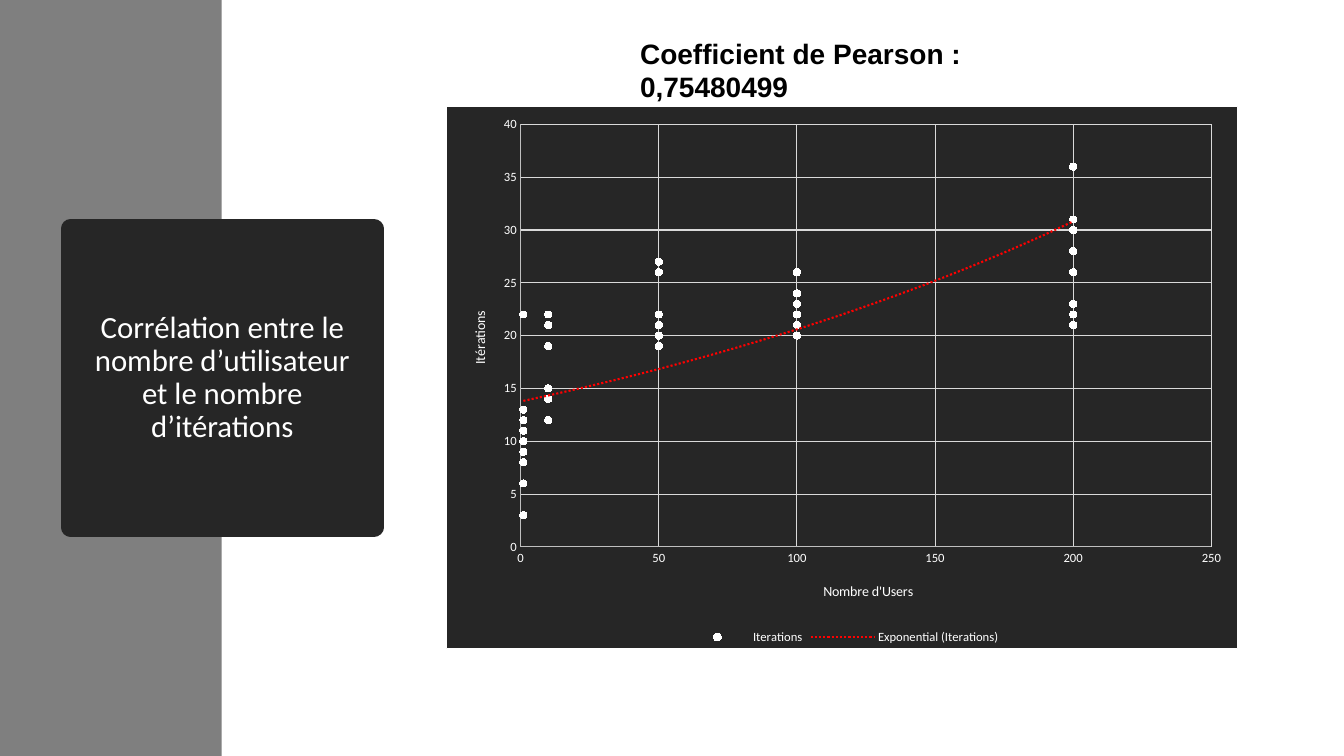
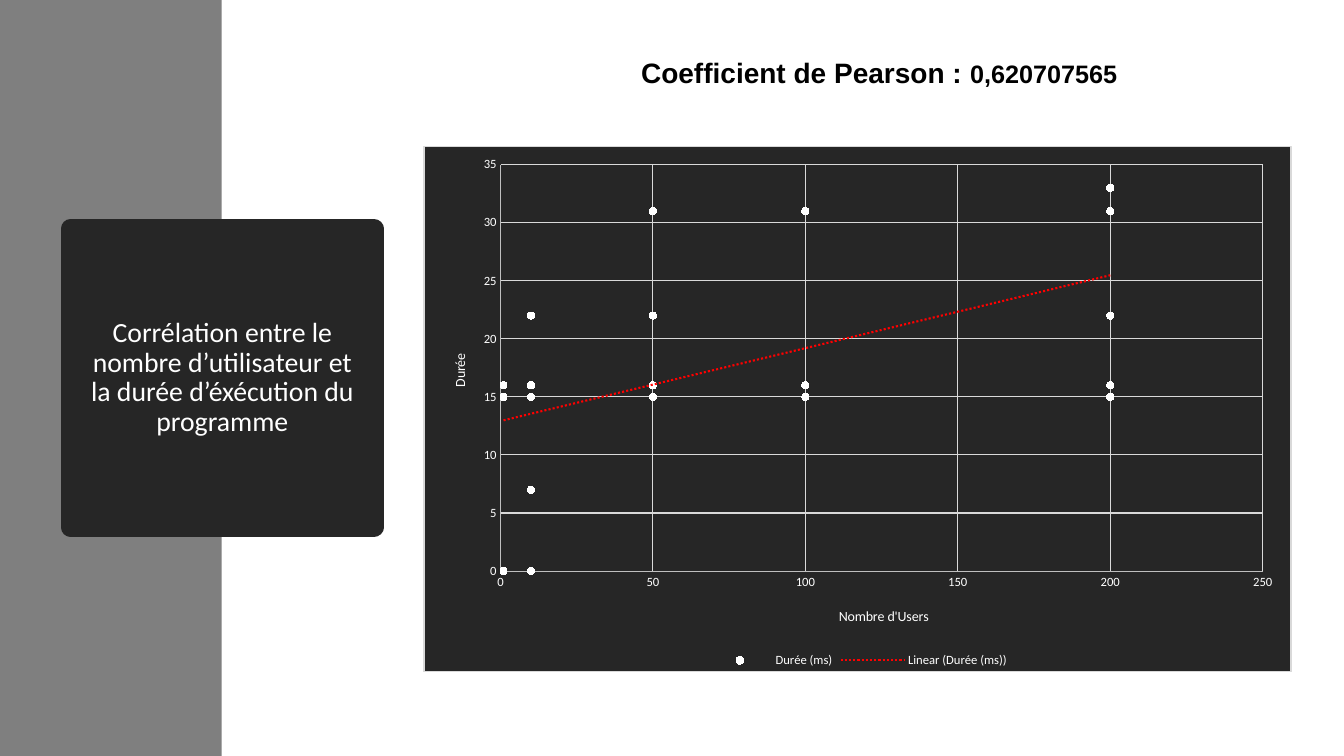
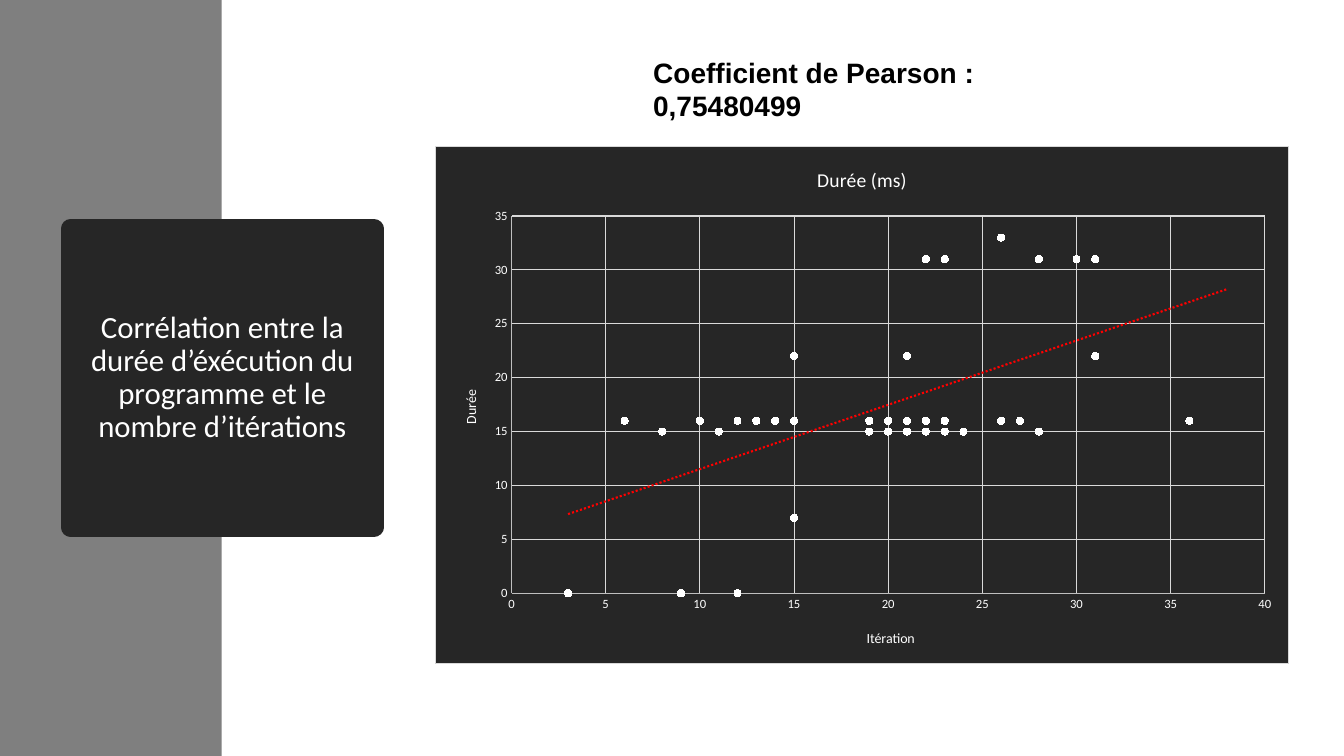
from dataclasses import dataclass
from typing import Any

from lxml import etree
from pptx import Presentation
from pptx import util as u
from pptx.chart import data as chartdata
from pptx.dml import color
from pptx.enum import chart as charts, shapes, text
from pptx.oxml import ns, parse_xml

GREY, DARK, WHITE, BLACK = "7F7F7F", "262626", "FFFFFF", "000000"
GRID, AXIS, RED = "D9D9D9", "BFBFBF", "FF0000"
SANS, HEADING = "Calibri", "Arial"
LABEL = "Coefficient de Pearson : "

USERS = [1] * 10 + [count for count in (10, 50, 100, 200) for _ in range(11)]
ITERATIONS = [
    8, 22, 11, 13, 6, 12, 3, 8, 9, 10,
    15, 12, 15, 19, 21, 15, 14, 21, 12, 22, 22,
    22, 22, 26, 21, 21, 19, 19, 22, 20, 27, 22,
    23, 21, 21, 23, 24, 26, 20, 23, 22, 21, 23,
    28, 36, 31, 31, 22, 23, 21, 31, 26, 30, 28,
]
DURATIONS = [
    15, 15, 15, 16, 16, 16, 0, 15, 0, 16,
    16, 0, 7, 16, 16, 22, 16, 16, 16, 15, 15,
    15, 16, 16, 22, 15, 16, 15, 16, 15, 16, 31,
    31, 15, 16, 16, 15, 16, 16, 16, 15, 16, 15,
    15, 16, 31, 22, 31, 31, 16, 31, 33, 31, 31,
]


@dataclass(frozen=True)
class Area:
    left: float
    top: float
    width: float
    height: float

    def lengths(self) -> list[u.Length]:
        return [u.Inches(side) for side in (self.left, self.top, self.width, self.height)]


@dataclass(frozen=True)
class AxisSpec:
    title: str
    title_length: float
    values: list[int]
    maximum: int
    step: int


@dataclass(frozen=True)
class Correlation:
    title: str
    title_size: float
    coefficient: str
    coefficient_size: int
    coefficient_area: Area
    chart_area: Area
    plot_area: Area
    border: str
    series: str
    across: AxisSpec
    upward: AxisSpec
    trend: str = "linear"
    forward: int = 0
    legend: bool = True


BAND = Area(0, 0, 2.2, 7.5)
TITLE = Area(0.7, 2.27, 3.01, 2.96)
USER_AXIS = AxisSpec("Nombre d'Users", 0.9, USERS, 250, 50)
DURATION_AXIS = AxisSpec("Durée", 0.34, DURATIONS, 35, 5)

CORRELATIONS = [
    Correlation(
        "Corrélation entre le nombre d’utilisateur et le nombre d’itérations", 22,
        "0,75480499", 20, Area(6.25, 0.31, 4.93, 0.44),
        Area(4.42, 1.05, 7.86, 5.39), Area(5.16, 1.23, 6.86, 4.2),
        WHITE, "Iterations", USER_AXIS,
        AxisSpec("Itérations", 0.54, ITERATIONS, 40, 5), trend="exp",
    ),
    Correlation(
        "Corrélation entre le nombre d’utilisateur et la durée d’éxécution du programme", 19.8,
        "0,620707565", 18, Area(6.26, 0.5, 4.93, 0.44),
        Area(4.2, 1.45, 8.61, 5.22), Area(4.96, 1.63, 7.57, 4.04),
        GRID, "Durée (ms)", USER_AXIS, DURATION_AXIS,
    ),
    Correlation(
        "Corrélation entre la durée d’éxécution du programme et le nombre d’itérations", 22,
        "0,75480499", 20, Area(6.38, 0.5, 4.93, 0.44),
        Area(4.31, 1.45, 8.48, 5.14), Area(5.07, 2.14, 7.48, 3.75),
        GRID, "Durée (ms)", AxisSpec("Itération", 0.48, ITERATIONS, 40, 5),
        DURATION_AXIS, forward=2, legend=False,
    ),
]


def colour(value: str) -> color.RGBColor:
    return color.RGBColor.from_string(value)


def fill(target: Any, value: str) -> None:
    target.fill.solid()
    target.fill.fore_color.rgb = colour(value)


def style_line(line: Any, value: str, width: float) -> None:
    fill(line, value)
    line.width = u.Pt(width)


def style_font(font: Any, size: float, value: str = WHITE, name: str = SANS, bold: bool = False) -> None:
    font.name, font.size, font.bold = name, u.Pt(size), bold
    font.color.rgb = colour(value)


def xml(tag: str, content: str) -> Any:
    return parse_xml(f"<c:{tag} {ns.nsdecls('c', 'a')}>{content}</c:{tag}>")


def outline_xml(value: str, width: float, dash: str = "solid") -> str:
    return (
        f'<a:ln w="{u.Pt(width)}"><a:solidFill><a:srgbClr val="{value}"/></a:solidFill>'
        f'<a:prstDash val="{dash}"/></a:ln>'
    )


def place(parent: Any, values: dict[str, float], inner: bool = False) -> None:
    for old in parent.findall(ns.qn("c:layout")):
        parent.remove(old)
    target = '<c:layoutTarget val="inner"/>' if inner else ""
    modes = '<c:xMode val="edge"/><c:yMode val="edge"/>'
    sides = "".join(f'<c:{side} val="{value:.4f}"/>' for side, value in values.items())
    layout = xml("layout", f"<c:manualLayout>{target}{modes}{sides}</c:manualLayout>")
    words = parent.find(ns.qn("c:tx"))
    if words is None:
        parent.insert(0, layout)
    else:
        words.addnext(layout)


def write_chart_title(frame: Any, words: str, size: float) -> None:
    frame.text = words
    style_font(frame.paragraphs[0].font, size)


def style_axis(axis: Any, details: AxisSpec, position: dict[str, float]) -> None:
    axis.minimum_scale, axis.maximum_scale = 0, details.maximum
    axis.major_unit = details.step
    axis.major_tick_mark = axis.minor_tick_mark = charts.XL_TICK_MARK.NONE
    axis.has_major_gridlines = True
    style_line(axis.major_gridlines.format.line, GRID, 0.75)
    style_line(axis.format.line, AXIS, 0.75)
    style_font(axis.tick_labels.font, 9)
    axis.has_title = True
    write_chart_title(axis.axis_title.text_frame, details.title, 10)
    place(axis.axis_title.element, position)


def add_trend(series: Any, kind: str, forward: int) -> None:
    extension = f'<c:forward val="{forward}"/>' if forward else ""
    trend = xml(
        "trendline",
        f'<c:spPr>{outline_xml(RED, 1.5, "sysDot")}</c:spPr><c:trendlineType val="{kind}"/>'
        f'{extension}<c:dispRSqr val="0"/><c:dispEq val="0"/>',
    )
    series._element.find(ns.qn("c:xVal")).addprevious(trend)


def add_scatter(page: Any, item: Correlation) -> None:
    values = chartdata.XyChartData()
    points = values.add_series(item.series)
    for x, y in zip(item.across.values, item.upward.values):
        points.add_data_point(x, y)
    outer, inner = item.chart_area, item.plot_area
    chart = page.shapes.add_chart(charts.XL_CHART_TYPE.XY_SCATTER, *outer.lengths(), values).chart
    style_font(chart.font, 10)
    chart.has_title = not item.legend
    if chart.has_title:
        write_chart_title(chart.chart_title.text_frame, item.series, 14)
    chart.has_legend = item.legend
    if item.legend:
        chart.legend.position = charts.XL_LEGEND_POSITION.BOTTOM
        chart.legend.include_in_layout = False
        style_font(chart.legend.font, 9)

    def fraction(left: float, top: float) -> dict[str, float]:
        return {"x": (left - outer.left) / outer.width, "y": (top - outer.top) / outer.height}

    middle = inner.left + inner.width / 2 - item.across.title_length / 2
    centre = inner.top + inner.height / 2 - item.upward.title_length / 2
    style_axis(chart.category_axis, item.across, fraction(middle, inner.top + inner.height + 0.33))
    style_axis(chart.value_axis, item.upward, fraction(inner.left - 0.52, centre))
    size = {"w": inner.width / outer.width, "h": inner.height / outer.height}
    body = chart.element.find(ns.qn("c:chart"))
    place(body.find(ns.qn("c:plotArea")), fraction(inner.left, inner.top) | size, inner=True)
    background = f'<a:solidFill><a:srgbClr val="{DARK}"/></a:solidFill>'
    body.addnext(xml("spPr", background + outline_xml(item.border, 0.75)))

    plot = chart.plots[0]
    plot.vary_by_categories = False
    series = plot.series[0]
    series.smooth = False
    series.format.line.fill.background()
    series.marker.style = charts.XL_MARKER_STYLE.CIRCLE
    series.marker.size = 5
    fill(series.marker.format, WHITE)
    style_line(series.marker.format.line, WHITE, 0.75)
    add_trend(series, item.trend, item.forward)


def add_title(page: Any, item: Correlation) -> None:
    title = page.shapes.title
    title.left, title.top, title.width, title.height = TITLE.lengths()
    fill(title, DARK)
    style_line(title.line, DARK, 13.75)
    etree.SubElement(title.element.spPr.find(ns.qn("a:ln")), ns.qn("a:round"))
    frame = title.text_frame
    frame.text = item.title
    frame.word_wrap = True
    frame.auto_size = text.MSO_AUTO_SIZE.NONE
    frame.vertical_anchor = text.MSO_ANCHOR.MIDDLE
    frame.margin_left = frame.margin_right = u.Inches(0.14)
    para = frame.paragraphs[0]
    para.alignment = text.PP_ALIGN.CENTER
    para.line_spacing = 0.9
    style_font(para.font, item.title_size)

    band = page.shapes.add_shape(shapes.MSO_SHAPE.RECTANGLE, *BAND.lengths())
    band.shadow.inherit = False
    fill(band, GREY)
    band.line.fill.background()
    title.element.addprevious(band.element)


def add_coefficient(page: Any, item: Correlation) -> None:
    box = page.shapes.add_textbox(*item.coefficient_area.lengths())
    box.text_frame.word_wrap = False
    para = box.text_frame.paragraphs[0]
    style_font(para.font, 20, BLACK, HEADING, True)
    for words, size in ((LABEL, 20), (item.coefficient, item.coefficient_size)):
        span = para.add_run()
        span.text = words
        span.font.size = u.Pt(size)


def main() -> None:
    deck = Presentation()
    deck.slide_width, deck.slide_height = u.Inches(13.33), u.Inches(7.5)
    for item in CORRELATIONS:
        page = deck.slides.add_slide(deck.slide_layouts[5])
        add_title(page, item)
        add_coefficient(page, item)
        add_scatter(page, item)
    deck.save("out.pptx")


if __name__ == "__main__":
    main()
